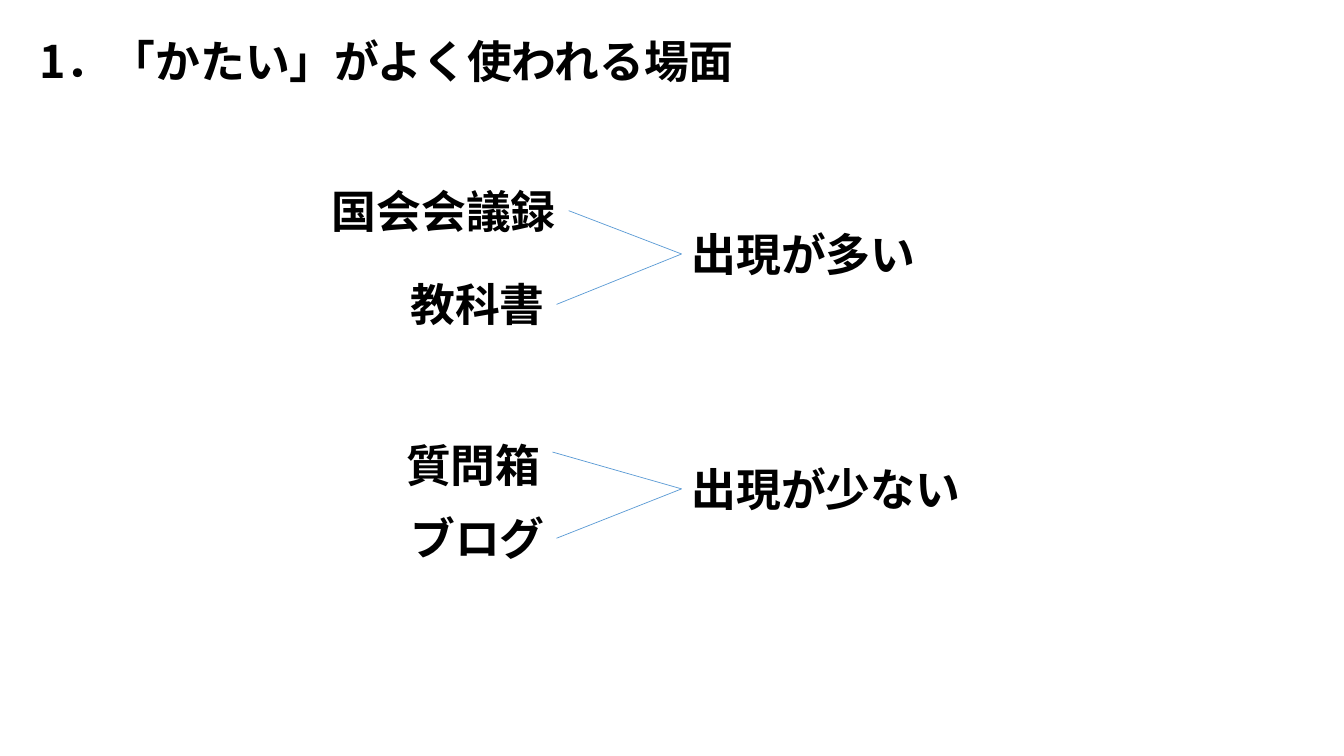
from dataclasses import dataclass

from lxml.etree import SubElement
from pptx import Presentation
from pptx.dml.color import RGBColor
from pptx.enum.shapes import MSO_CONNECTOR
from pptx.enum.text import MSO_ANCHOR, MSO_AUTO_SIZE, PP_ALIGN
from pptx.oxml.ns import qn
from pptx.shapes.autoshape import Shape
from pptx.slide import Slide
from pptx.text.text import _Paragraph
from pptx.util import Inches, Pt

BLACK = RGBColor(0x00, 0x00, 0x00)
BLUE = RGBColor(0x5B, 0x9B, 0xD5)
FONT = "Noto Sans CJK JP"
LINE_HEIGHT = 0.64
LEFT_SIDE, RIGHT_SIDE = 1, 3


@dataclass(frozen=True)
class Label:
    text: str
    left: float
    top: float
    width: float
    height: float = LINE_HEIGHT
    spacing: float = 1.0


@dataclass(frozen=True)
class Group:
    sources: tuple[Label, ...]
    frequency: Label


GROUPS = (
    Group(
        (Label("国会会議録", 3.19, 1.77, 2.45), Label("教科書", 3.97, 2.7, 1.55)),
        Label("出現が多い", 6.76, 2.2, 2.45),
    ),
    Group(
        (Label("質問箱", 3.93, 4.03, 1.55, 0.91, 1.5), Label("ブログ", 3.97, 5.02, 1.55)),
        Label("出現が少ない", 6.76, 4.53, 2.91),
    ),
)


def add_bold_run(paragraph: _Paragraph, text: str) -> None:
    run = paragraph.add_run()
    run.text = text
    run.font.size = Pt(32)
    run.font.bold = True
    run.font.color.rgb = BLACK
    run.font.name = FONT
    SubElement(run.font._element, qn("a:ea")).set("typeface", FONT)


def add_title(slide: Slide, text: str) -> None:
    title = slide.shapes.title
    title.left, title.top = Inches(0.29), Inches(0.28)
    title.width, title.height = Inches(7.21), Inches(LINE_HEIGHT)
    frame = title.text_frame
    frame.word_wrap = True
    frame.auto_size = MSO_AUTO_SIZE.SHAPE_TO_FIT_TEXT
    frame.vertical_anchor = MSO_ANCHOR.MIDDLE
    paragraph = frame.paragraphs[0]
    paragraph.alignment = PP_ALIGN.LEFT
    add_bold_run(paragraph, text)


def add_label(slide: Slide, label: Label) -> Shape:
    box = slide.shapes.add_textbox(
        Inches(label.left), Inches(label.top), Inches(label.width), Inches(label.height)
    )
    frame = box.text_frame
    frame.word_wrap = False
    frame.auto_size = MSO_AUTO_SIZE.SHAPE_TO_FIT_TEXT
    paragraph = frame.paragraphs[0]
    paragraph.line_spacing = label.spacing
    add_bold_run(paragraph, label.text)
    return box


def join(slide: Slide, source: Shape, frequency: Shape) -> None:
    """Draw a thin line from a source's right side to its frequency's left side."""
    link = slide.shapes.add_connector(MSO_CONNECTOR.STRAIGHT, 0, 0, 0, 0)
    link.begin_connect(source, RIGHT_SIDE)
    link.end_connect(frequency, LEFT_SIDE)
    link.line.color.rgb = BLUE
    link.line.width = Pt(0.5)
    SubElement(link._element.spPr, qn("a:effectLst"))


def main() -> None:
    deck = Presentation()
    deck.slide_width, deck.slide_height = Inches(13.33), Inches(7.5)
    slide = deck.slides.add_slide(deck.slide_layouts.get_by_name("Title Only"))
    add_title(slide, "1．「かたい」がよく使われる場面")
    for group in GROUPS:
        frequency = add_label(slide, group.frequency)
        for source in group.sources:
            join(slide, add_label(slide, source), frequency)
    deck.save("out.pptx")


if __name__ == "__main__":
    main()
